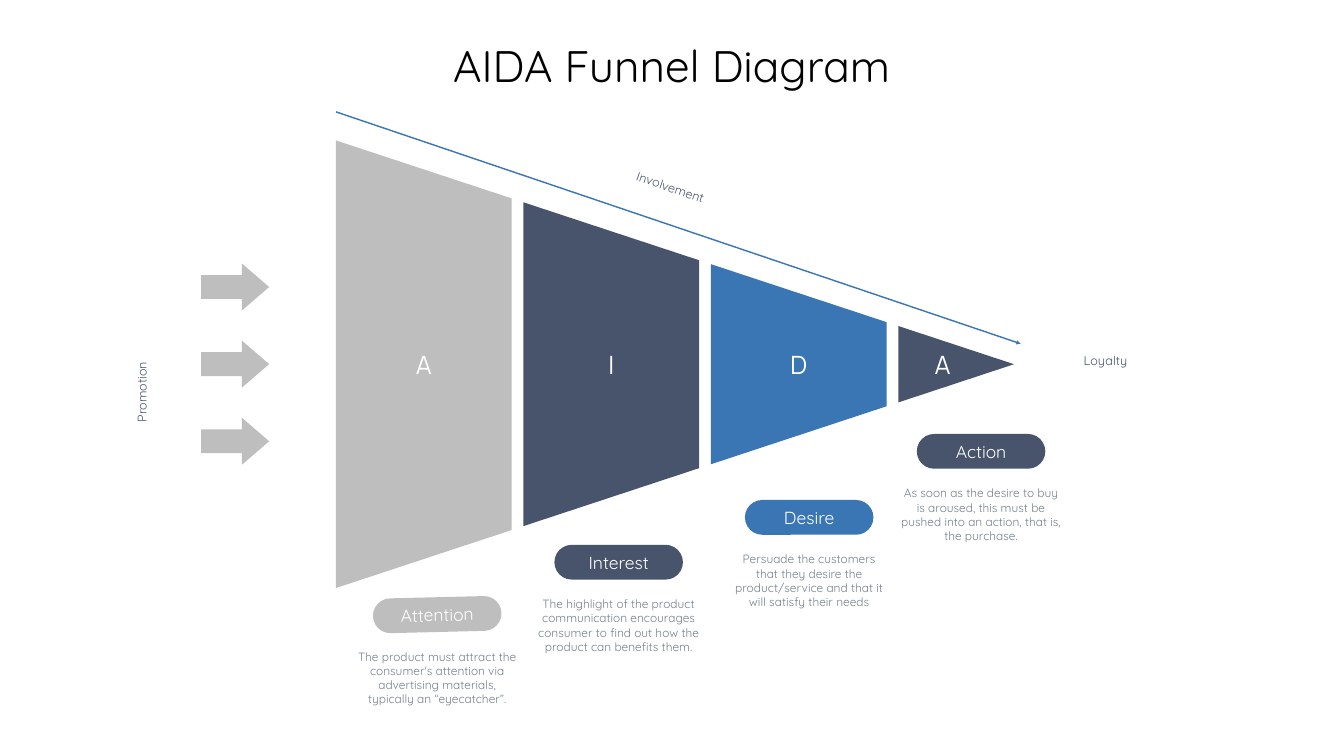
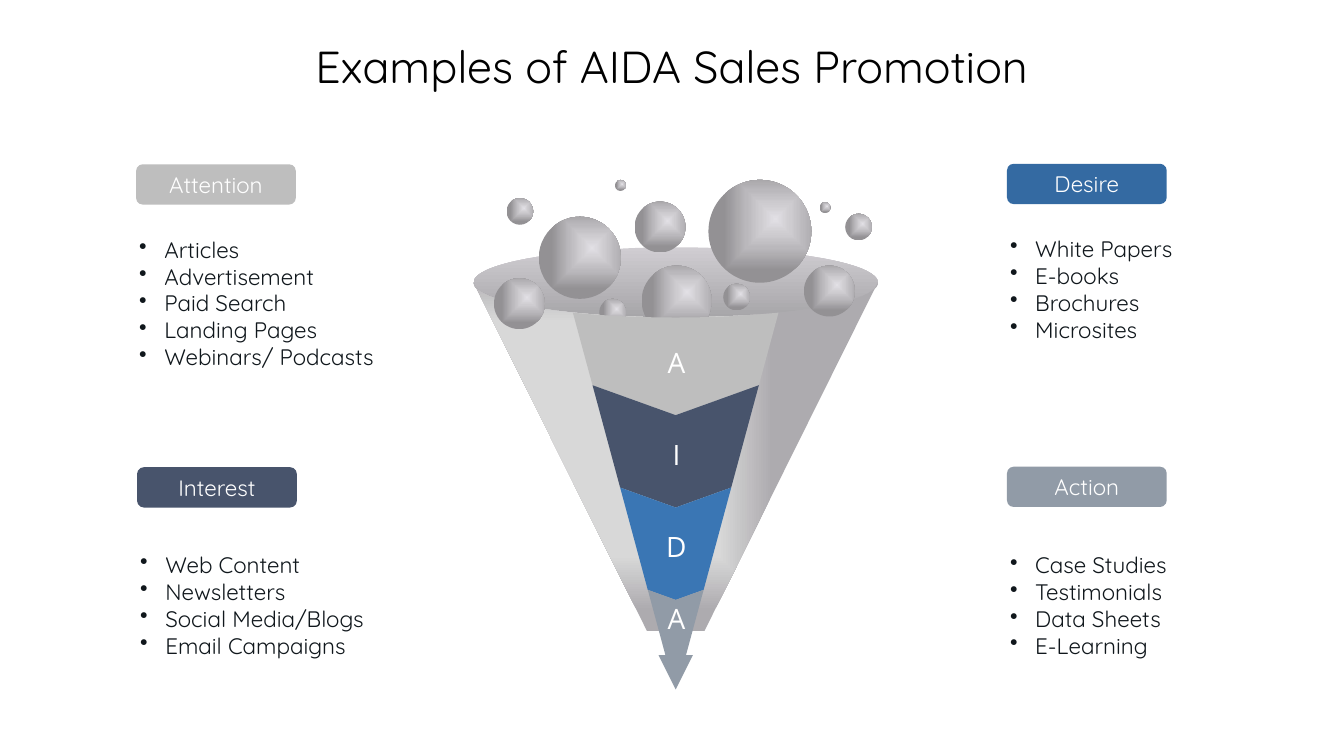
from math import cos, pi, sin

from lxml.etree import SubElement
from pptx import Presentation
from pptx.dml.color import RGBColor
from pptx.enum.shapes import MSO_CONNECTOR, MSO_SHAPE as Preset
from pptx.enum.text import MSO_ANCHOR as Anchor, PP_ALIGN as Align
from pptx.oxml.ns import qn
from pptx.util import Emu, Inches, Pt

# The slide is a grid of 80 columns and 45 rows of square cells.
COLUMNS, ROWS = 80, 45
CELL = Inches(1) / 3

GREY, NAVY, BLUE, STEEL = "BEBEBE", "48546C", "3A76B4", "919BA7"
DEEP_BLUE, WHITE, BLACK, INK, SLATE = "346AA2", "FFFFFF", "000000", "10171C", "74808C"
BODY_FONT, BAND_FONT, LETTER_FONT = "Quicksand", "Manrope", "Open Sans"

BALL_STOPS = [(0, "E2E0E5"), (29, "CECCD0"), (56, "BAB8BC"), (100, "939194")]
RIM_STOPS = [(0, "D0CDD2"), (100, "A7A6A9")]
CONE_STOPS = [(67, "D8D8D8"), (98, "ADABAF")]


def color(hex_code):
    return RGBColor.from_string(hex_code)


def cells(*lengths):
    return [Emu(round(length * CELL)) for length in lengths]


def paint(shape, fill):
    """Give the shape a flat fill without line or shadow."""
    shape.fill.solid()
    shape.fill.fore_color.rgb = color(fill)
    shape.line.fill.background()
    shape.shadow.inherit = False
    return shape


def paint_gradient(shape, stops, focus=None):
    """Shade towards the focus rectangle (l, t, r, b in %), or downwards without one."""
    paint(shape, stops[0][1])
    properties = shape.fill._xPr
    solid = properties.find(qn("a:solidFill"))
    gradient = SubElement(properties, qn("a:gradFill"), rotWithShape="1")
    properties.replace(solid, gradient)
    stop_list = SubElement(gradient, qn("a:gsLst"))
    for position, hex_code in stops:
        stop = SubElement(stop_list, qn("a:gs"), pos=str(position * 1000))
        SubElement(stop, qn("a:srgbClr"), val=hex_code)
    if focus:
        shade = SubElement(gradient, qn("a:path"))
        shade.set("path", "shape")
        sides = {side: str(share * 1000) for side, share in zip("ltrb", focus)}
        SubElement(shade, qn("a:fillToRect"), **sides)
    else:
        SubElement(gradient, qn("a:lin"), ang="5400000", scaled="0")


def write(shape, lines, size, ink, font=BODY_FONT, align=Align.CENTER,
          anchor=Anchor.MIDDLE, inset=0.06):
    frame = shape.text_frame
    frame.word_wrap = True
    frame.vertical_anchor = anchor
    frame.margin_left = frame.margin_right = Inches(inset)
    frame.margin_top = frame.margin_bottom = Inches(inset)
    frame.text = "\n".join(lines)
    for paragraph in frame.paragraphs:
        paragraph.alignment = align
        paragraph.font.size = Pt(size)
        paragraph.font.name = font
        paragraph.font.color.rgb = color(ink)
    return frame


def add_text(slide, box, lines, size, ink, **style):
    text_box = slide.shapes.add_textbox(*cells(*box))
    write(text_box, lines, size, ink, **style)
    return text_box


def add_preset(slide, preset, box, fill):
    return paint(slide.shapes.add_shape(preset, *cells(*box)), fill)


def add_outline(slide, points, fill):
    start, *rest = [cells(x, y) for x, y in points]
    builder = slide.shapes.build_freeform(*start, scale=1.0)
    builder.add_line_segments(rest, close=True)
    return paint(builder.convert_to_shape(), fill)


def add_title(slide, title, size):
    add_text(slide, (11.27, 2.19, 57.4, 4), [title], size, BLACK,
             anchor=Anchor.TOP, inset=0.04)


# --- AIDA funnel diagram ---

STAGES = [  # label, fill, pill column, pill row, pill rotation, text width, text
    ("Attention", GREY, 22.2, 35.55, -1.4, 9.84,
     "The product must attract the consumer's attention via advertising "
     "materials, typically an “eyecatcher”."),
    ("Interest", NAVY, 33, 32.43, 0, 10.56,
     "The highlight of the product communication encourages consumer to find "
     "out how the product can benefits them."),
    ("Desire", BLUE, 44.34, 29.76, 0, 9.21,
     "Persuade the customers that they desire the product/service and that it "
     "will satisfy their needs"),
    ("Action", NAVY, 54.57, 25.83, 0, 9.87,
     "As soon as the desire to buy is aroused, this must be pushed into an "
     "action, that is, the purchase."),
]


def draw_lying_funnel(slide, left, top, width, height):
    """Cut a cone that points right into one band per stage."""
    step, band = 11.16, 10.45
    tip, axis = left + width, top + height / 2
    for index, (label, fill, *_) in enumerate(STAGES):
        near = left + index * step
        far = min(near + band, tip)
        near_half, far_half = [(tip - x) / width * height / 2 for x in (near, far)]
        points = [(near, axis - near_half), (near, axis + near_half),
                  (far, axis + far_half)]
        if far < tip:
            points.append((far, axis - far_half))
        piece = add_outline(slide, points, fill)
        frame = write(piece, [label[0]], 36, WHITE, font=BAND_FONT)
        if far == tip:
            frame.margin_right = Inches(0.6)


def draw_stage(slide, label, fill, left, top, rotation, text_width, text):
    width, height = 7.65, 2.07
    pill = add_preset(slide, Preset.ROUNDED_RECTANGLE, (left, top, width, height), fill)
    pill.adjustments[0] = 0.5
    pill.rotation = rotation
    write(pill, [label], 25, WHITE)
    text_left = left + (width - text_width) / 2
    add_text(slide, (text_left, top + 2.9, text_width, 3.78), [text], 17, SLATE)


def draw_involvement_arrow(slide, start, end):
    arrow = slide.shapes.add_connector(MSO_CONNECTOR.STRAIGHT, *cells(*start, *end))
    arrow.line.color.rgb = color(BLUE)
    arrow.line.width = Pt(2)
    SubElement(arrow.line._get_or_add_ln(), qn("a:tailEnd"), type="triangle")
    SubElement(arrow._element.spPr, qn("a:effectLst"))


def draw_promotion_arrows(slide, left, top, count=3, step=4.59):
    for index in range(count):
        arrow = add_preset(slide, Preset.RIGHT_ARROW,
                           (left, top + index * step, 4.05, 2.79), GREY)
        arrow.adjustments[0], arrow.adjustments[1] = 0.51, 0.58


def draw_note(slide, text, box, rotation=0):
    note = add_text(slide, box, [text], 18, NAVY, align=Align.LEFT, anchor=Anchor.TOP)
    note.rotation = rotation


def build_diagram_slide(slide):
    add_title(slide, "AIDA Funnel Diagram", 63)
    draw_lying_funnel(slide, 20, 8.36, 40.36, 26.64)
    draw_involvement_arrow(slide, (20, 6.66), (60.75, 20.46))
    draw_promotion_arrows(slide, 11.97, 15.69)
    draw_note(slide, "Promotion", (5.28, 20.85, 7, 1.95), 270)
    draw_note(slide, "Involvement", (37.41, 11.1, 8.4, 1.95), 18.8)
    draw_note(slide, "Loyalty", (64.32, 20.85, 4.92, 1.95))
    for stage in STAGES:
        draw_stage(slide, *stage)


# --- Examples of sales promotion ---

EXAMPLES = [  # label, fill, column, row, gap to list, items
    ("Attention", GREY, 8.1, 9.78, 4.05,
     ["Articles", "Advertisement", "Paid Search", "Landing Pages",
      "Webinars/ Podcasts"]),
    ("Interest", NAVY, 8.16, 27.81, 4.8,
     ["Web Content", "Newsletters", "Social Media/Blogs", "Email Campaigns"]),
    ("Desire", DEEP_BLUE, 59.94, 9.75, 4.05,
     ["White Papers", "E-books", "Brochures", "Microsites"]),
    ("Action", STEEL, 59.94, 27.78, 4.85,
     ["Case Studies", "Testimonials", "Data Sheets", "E-Learning"]),
]

BALLS = [  # column, row, diameter, from the funnel's corner
    (3.9, 2.19, 4.89), (10.02, 5.1, 4.17), (14, 0, 6.12),
    (19.68, 5.1, 3.03), (1.23, 5.85, 3.03), (9.6, 1.29, 3.03),
    (1.98, 1.08, 1.59), (7.5, 7.08, 1.59), (14.88, 6.18, 1.59),
    (22.14, 2.01, 1.59), (8.43, 0, 0.66), (20.61, 1.32, 0.66),
]


def draw_example_list(slide, label, fill, left, top, gap, items):
    header = add_preset(slide, Preset.ROUNDED_RECTANGLE, (left, top, 9.51, 2.4), fill)
    write(header, [label], 32, WHITE)
    height = 0.36 + 1.61 * len(items)
    examples = add_text(slide, (left, top + gap, 20, height), items, 32, INK,
                        align=Align.LEFT)
    for paragraph in examples.text_frame.paragraphs:
        properties = paragraph._p.get_or_add_pPr()
        properties.set("marL", str(Inches(0.5)))
        properties.set("indent", str(-Inches(0.5)))
        bullet = SubElement(properties, qn("a:buChar"), char="•")
        properties.remove(bullet)
        properties.insert(0, bullet)


def draw_standing_funnel(slide, left, top):
    """Draw the cone, the balls falling in and the four chevron bands."""
    rim_x, rim_y = 12.03, 2.09
    center, rim = left + 12.05, top + 6.1
    shoulder, first_edge, edge_step, bottom = 7.89, 12.22, 6.09, 28.98

    def rim_arc(half_width, steps=40):
        """Follow the front of the rim from left to right."""
        xs = [-half_width * cos(pi * i / steps) for i in range(steps + 1)]
        return [(center + x, rim + rim_y * max(0, 1 - (x / rim_x) ** 2) ** 0.5)
                for x in xs]

    def half_at(row):
        return 6.12 - 0.27 * (row - shoulder)

    def chevron_edge(row, notch=0.36):
        half = half_at(row)
        return [(center - half, top + row), (center, top + row + notch * half),
                (center + half, top + row)]

    ellipse_box = (center - rim_x, rim - rim_y, 2 * rim_x, 2 * rim_y)
    paint_gradient(add_preset(slide, Preset.OVAL, ellipse_box, GREY), RIM_STOPS)
    foot = [(center + 1.71, top + 26.85), (center - 1.71, top + 26.85)]
    cone = add_outline(slide, rim_arc(rim_x) + foot, GREY)
    paint_gradient(cone, CONE_STOPS, (25, 45, 75, 55))
    for column, row, size in BALLS:
        ball = add_preset(slide, Preset.OVAL, (left + column, top + row, size, size), GREY)
        paint_gradient(ball, BALL_STOPS, (65, 38, 35, 62))

    edges = [rim_arc(half_at(shoulder))]
    edges += [chevron_edge(first_edge + i * edge_step) for i in range(3)]
    edges.append(chevron_edge(bottom, notch=0))
    fills = (GREY, NAVY, BLUE, STEEL)
    for fill, upper, lower in zip(fills, edges, edges[1:]):
        add_outline(slide, upper + lower[::-1], fill)
    arrow_top = top + 28.29
    add_outline(slide, [(center - 1.02, arrow_top), (center + 1.02, arrow_top),
                        (center, arrow_top + 2.04)], STEEL)
    for letter, middle in zip("AIDA", (10.83, 16.32, 21.81, 26.1)):
        add_text(slide, (center - 4.8, top + middle - 1.32, 9.69, 2.64), [letter],
                 40, WHITE, font=LETTER_FONT)


def build_examples_slide(slide):
    add_title(slide, "Examples of AIDA Sales Promotion", 64)
    draw_standing_funnel(slide, 28.17, 10.71)
    for example in EXAMPLES:
        draw_example_list(slide, *example)


def main():
    deck = Presentation()
    deck.slide_width, deck.slide_height = cells(COLUMNS, ROWS)
    blank = deck.slide_layouts[6]
    for build in (build_diagram_slide, build_examples_slide):
        build(deck.slides.add_slide(blank))
    deck.save("out.pptx")


if __name__ == "__main__":
    main()
